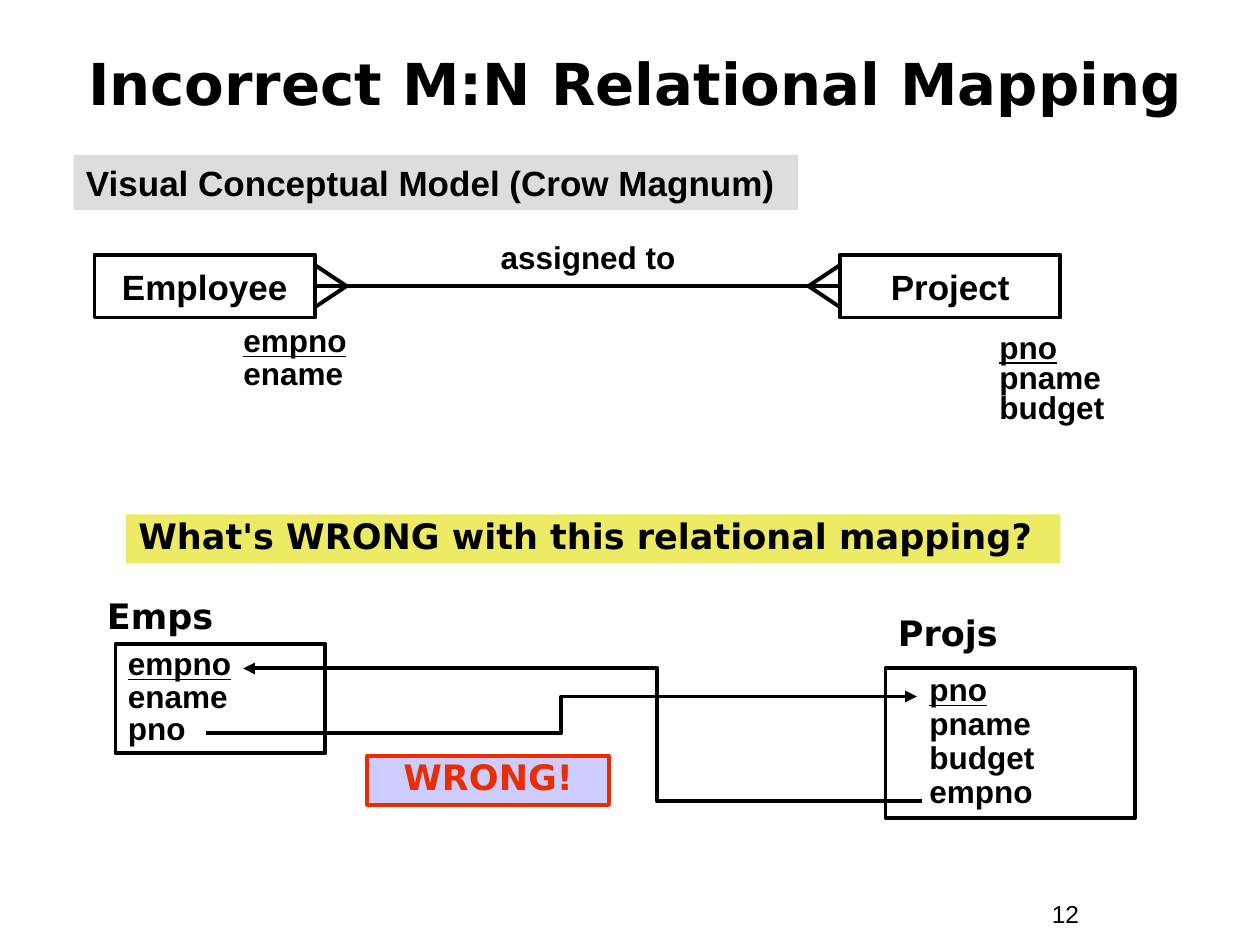
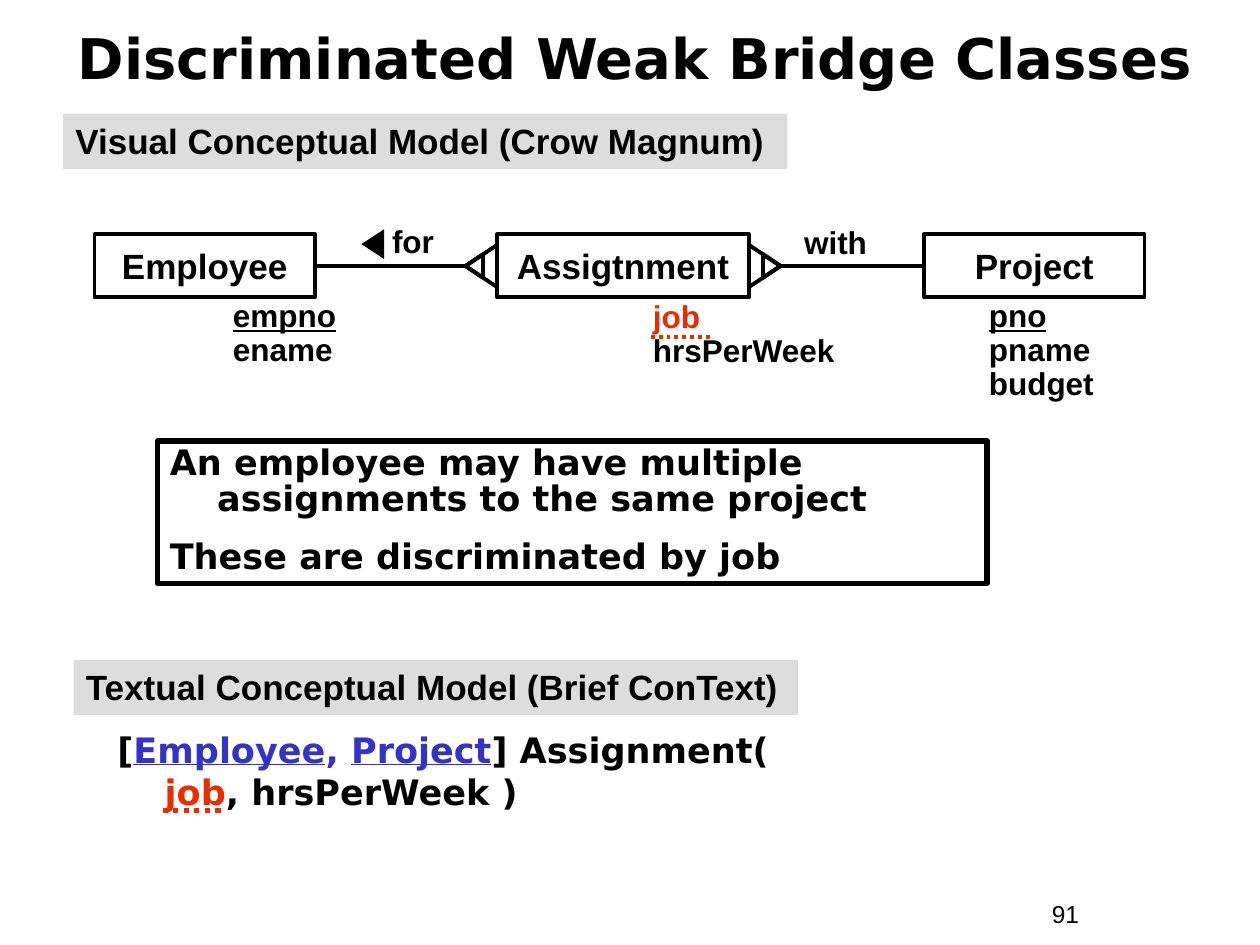
import lxml.etree
import pptx
import pptx.dml.color
import pptx.enum.dml
import pptx.enum.shapes
import pptx.enum.text
import pptx.oxml.ns
import pptx.util

COLORS = {
    "black": "000000",
    "gray": "DDDDDD",
    "yellow": "EDEA63",
    "lavender": "CCCCFF",
    "red": "EA2D00",
    "blue": "3333CC",
}
SANS = "Arial"
HEADING = "DejaVu Sans"
LINE_WIDTH = 2.25
HANGING = (27, -27)
ENTITY_HEIGHT = 36
CENTER = pptx.enum.text.PP_ALIGN.CENTER
MIDDLE = pptx.enum.text.MSO_ANCHOR.MIDDLE
RECTANGLE = pptx.enum.shapes.MSO_SHAPE.RECTANGLE
TRIANGLE = pptx.enum.shapes.MSO_SHAPE.ISOSCELES_TRIANGLE
STRAIGHT = pptx.enum.shapes.MSO_CONNECTOR.STRAIGHT
ELBOW = pptx.enum.shapes.MSO_CONNECTOR.ELBOW


def points(*values):
    return [pptx.util.Pt(value) for value in values]


def rgb(name):
    return pptx.dml.color.RGBColor.from_string(COLORS[name])


# Text

def format_font(font, name, size, color="black", bold=True):
    font.name = name
    font.size = pptx.util.Pt(size)
    font.bold = bold
    font.color.rgb = rgb(color)


def write_text(shape, text, name=SANS, size=20, color="black", bold=True, align=None,
               spacing=1.0, indent=None, gap=0, anchor=pptx.enum.text.MSO_ANCHOR.TOP, wrap=True):
    """Fill a shape with one paragraph per line of text."""
    frame = shape.text_frame
    frame.text = text
    frame.word_wrap = wrap
    frame.auto_size = pptx.enum.text.MSO_AUTO_SIZE.NONE
    frame.vertical_anchor = anchor
    for number, paragraph in enumerate(frame.paragraphs):
        if indent:
            properties = paragraph._p.get_or_add_pPr()
            properties.set("marL", str(pptx.util.Pt(indent[0])))
            properties.set("indent", str(pptx.util.Pt(indent[1])))
        paragraph.alignment = align or pptx.enum.text.PP_ALIGN.LEFT
        paragraph.line_spacing = spacing
        paragraph.space_before = pptx.util.Pt(gap if number else 0)
        for run in paragraph.runs:
            format_font(run.font, name, size, color, bold)


def add_text(slide, box, text, **style):
    shape = slide.shapes.add_textbox(*points(*box))
    write_text(shape, text, **style)
    return shape


def underline_key(shape):
    shape.text_frame.paragraphs[0].runs[0].font.underline = True


def add_attributes(slide, box, names, spacing=0.9):
    shape = add_text(slide, box, "\n".join(names), size=18, spacing=spacing)
    underline_key(shape)


def add_title(slide, text, top, height, size):
    title = slide.shapes.title
    title.left, title.top, title.width, title.height = points(24, top, 678, height)
    write_text(title, text, name=HEADING, size=size, align=CENTER, spacing=0.8, anchor=MIDDLE)


def add_titled_slide(presentation, title, top, height, size, number):
    slide = presentation.slides.add_slide(presentation.slide_layouts[5])
    add_title(slide, title, top, height, size)
    add_text(slide, (594, 510, 66, 24), number, size=14, bold=False)
    return slide


# Shapes

def add_figure(shapes, kind, box, fill=None, line=None, width=LINE_WIDTH, rotation=0):
    shape = shapes.add_shape(kind, *points(*box))
    shape.shadow.inherit = False
    shape.rotation = rotation
    if fill:
        shape.fill.solid()
        shape.fill.fore_color.rgb = rgb(fill)
    else:
        shape.fill.background()
    if line:
        shape.line.color.rgb = rgb(line)
        shape.line.width = pptx.util.Pt(width)
    else:
        shape.line.fill.background()
    return shape


def add_band(slide, left, top, text):
    band = add_figure(slide.shapes, RECTANGLE, (left, top, 414, 31.5), fill="gray")
    write_text(band, text)


def add_entity(slide, left, top, width, name):
    entity = add_figure(slide.shapes, RECTANGLE, (left, top, width, ENTITY_HEIGHT), line="black")
    write_text(entity, name, align=CENTER, anchor=MIDDLE, wrap=False)
    return entity


def add_table_box(slide, box, names, spacing, indent=None):
    shape = add_figure(slide.shapes, RECTANGLE, box, line="black")
    write_text(shape, "\n".join(names), size=18, spacing=spacing, indent=indent)
    underline_key(shape)


# Lines

def add_line(slide, start, end, kind=STRAIGHT, color="black", width=LINE_WIDTH):
    connector = slide.shapes.add_connector(kind, *points(*start, *end))
    connector.line.color.rgb = rgb(color)
    connector.line.width = pptx.util.Pt(width)
    lxml.etree.SubElement(connector._element.spPr, pptx.oxml.ns.qn("a:effectLst"))
    return connector


def add_reference(slide, start, end, bend):
    """Elbow arrow; bend is the share of its width before the turn."""
    connector = add_line(slide, start, end, kind=ELBOW)
    geometry = connector._element.spPr.find(pptx.oxml.ns.qn("a:prstGeom"))
    adjustments = geometry.find(pptx.oxml.ns.qn("a:avLst"))
    lxml.etree.SubElement(adjustments, pptx.oxml.ns.qn("a:gd"),
                          name="adj1", fmla=f"val {round(bend * 100000)}")
    outline = connector.line._get_or_add_ln()
    lxml.etree.SubElement(outline, pptx.oxml.ns.qn("a:tailEnd"), type="triangle")


def add_dots(slide, left, right, y, width):
    connector = add_line(slide, (right, y), (left, y), color="red", width=width)
    connector.line.dash_style = pptx.enum.dml.MSO_LINE.ROUND_DOT


def add_crow_foot(slide, tip, edge, y):
    for spread in (-12, 12):
        add_line(slide, (tip, y), (edge, y + spread))


def add_weak_foot(slide, tip, direction, y):
    """Crow's foot with a bar; direction is 1 when the tip points right."""
    group = slide.shapes.add_group_shape()
    for base, height in ((24, 18), (13.5, 10)):
        middle = tip - direction * height / 2
        box = (middle - base / 2, y - height / 2, base, height)
        add_figure(group.shapes, TRIANGLE, box, line="black", rotation=90 if direction > 0 else 270)


# Slides

def build_incorrect_mapping(presentation):
    slide = add_titled_slide(presentation, "Incorrect M:N Relational Mapping", 26, 50, 33, "12")
    add_band(slide, 42, 88.5, "Visual Conceptual Model (Crow Magnum)")

    # Conceptual model
    top = 145.5
    axis = top + ENTITY_HEIGHT / 2
    employee = add_entity(slide, 54, top, 126, "Employee")
    project = add_entity(slide, 480, top, 126, "Project")
    relation = add_line(slide, (180, axis), (480, axis))
    relation.begin_connect(employee, 3)
    relation.end_connect(project, 1)
    add_crow_foot(slide, 198, 180, axis)
    add_crow_foot(slide, 462, 480, axis)
    add_text(slide, (276, 136, 120, 26), "assigned to", size=18, align=CENTER, spacing=0.85)
    add_attributes(slide, (132, 183.5, 108, 44), ["empno", "ename"], spacing=0.85)
    add_attributes(slide, (564, 188, 120, 59), ["pno", "pname", "budget"], spacing=0.8)

    # Question and verdict
    question = add_figure(slide.shapes, RECTANGLE, (72, 294, 534, 28), fill="yellow")
    write_text(question, "What's WRONG with this relational mapping?", name=HEADING,
               spacing=0.85, indent=HANGING)
    verdict = add_figure(slide.shapes, RECTANGLE, (210, 432, 138, 28), fill="lavender", line="red")
    write_text(verdict, "WRONG!", name=HEADING, color="red", align=CENTER,
               spacing=0.85, indent=HANGING)

    # Relational tables
    add_text(slide, (54, 336, 155, 32), "Emps", name=HEADING)
    add_table_box(slide, (66, 368, 120, 62.5), ["empno", "ename", "pno"], 0.85)
    add_text(slide, (506, 346, 155, 32), "Projs", name=HEADING)
    add_table_box(slide, (506, 382, 142.5, 85.5), ["pno", "pname", "budget", "empno"], 0.9,
                  indent=(18, 0))
    add_reference(slide, (527, 458), (139, 382), 0.39)
    add_reference(slide, (117.5, 419), (524, 398), 0.5)


def build_bridge_classes(presentation):
    slide = add_titled_slide(presentation, "Discriminated Weak Bridge Classes", 12, 48, 32, "91")
    add_band(slide, 36, 65, "Visual Conceptual Model (Crow Magnum)")
    add_band(slide, 42, 377, "Textual Conceptual Model (Brief ConText)")

    # Conceptual model
    top = 134
    axis = top + ENTITY_HEIGHT / 2
    employee = add_entity(slide, 54, top, 126, "Employee")
    add_entity(slide, 284, top, 144, "Assigtnment")
    project = add_entity(slide, 528, top, 126, "Project")
    for entity, side, edge, tip, direction in ((employee, 3, 180, 266, -1),
                                               (project, 1, 528, 446, 1)):
        relation = add_line(slide, (edge, axis), (tip, axis))
        relation.begin_connect(entity, side)
        add_weak_foot(slide, tip, direction, axis)
    add_text(slide, (194, 123.5, 84, 29), "for", size=18, align=CENTER)
    add_text(slide, (423.5, 124, 108, 29), "with", size=18, align=CENTER)
    add_figure(slide.shapes, TRIANGLE, (204.5, 133, 17, 13), fill="black", rotation=270)

    # Attributes
    add_attributes(slide, (126, 168, 108, 46), ["empno", "ename"])
    add_attributes(slide, (558, 168, 120, 66), ["pno", "pname", "budget"])
    bridge = add_text(slide, (366, 168.5, 126, 46), "job\nhrsPerWeek", size=18, spacing=0.9)
    bridge.text_frame.paragraphs[0].runs[0].font.color.rgb = rgb("red")
    add_dots(slide, 371, 405.5, 192.5, LINE_WIDTH)

    # Explanation
    note = add_figure(slide.shapes, RECTANGLE, (90, 252, 474, 81.5), line="black", width=3)
    write_text(note, "An employee may have multiple assignments to the same project\n"
               "These are discriminated by job",
               name=HEADING, spacing=0.85, indent=HANGING, gap=12.5)

    # Textual model
    model = add_text(slide, (60, 412.5, 564, 79), "[", name=HEADING, indent=HANGING)
    paragraph = model.text_frame.paragraphs[0]
    for text, color, underline in (("Employee", "blue", True), (", ", "blue", False),
                                   ("Project", "blue", True), ("] Assignment(", "black", False),
                                   ("job", "red", False), (", hrsPerWeek )", "black", False)):
        if text == "job":
            paragraph.add_line_break()
        run = paragraph.add_run()
        run.text = text
        format_font(run.font, HEADING, 20, color)
        run.font.underline = underline
    add_dots(slide, 93, 126, 463, 3)


def main():
    presentation = pptx.Presentation()
    presentation.slide_width, presentation.slide_height = points(720, 540)
    build_incorrect_mapping(presentation)
    build_bridge_classes(presentation)
    presentation.save("out.pptx")


if __name__ == "__main__":
    main()
